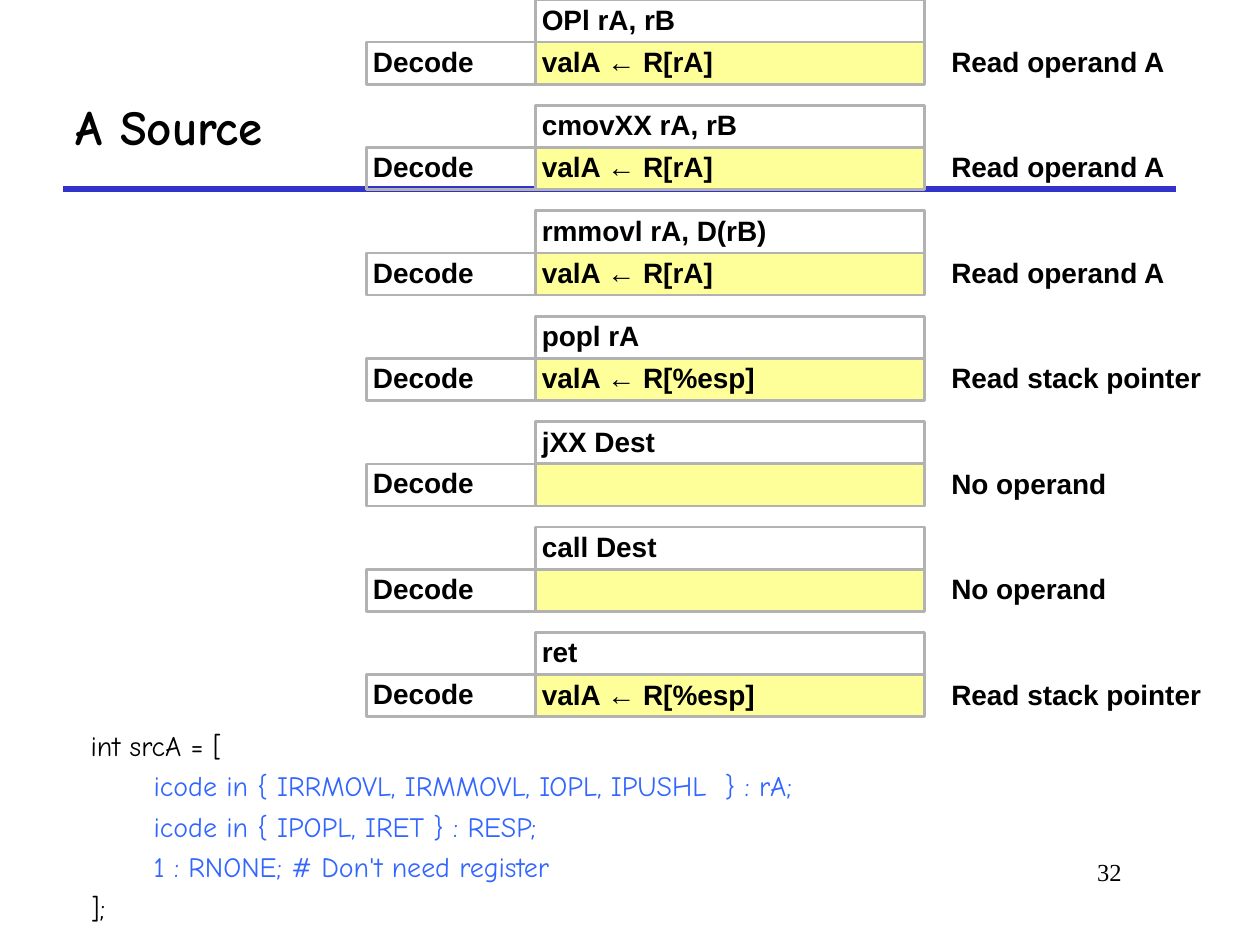
"""Build the slide that shows how source register A is chosen."""
import dataclasses
import typing

import pptx
import pptx.dml.color
import pptx.enum.shapes
import pptx.enum.text
import pptx.oxml
import pptx.oxml.ns
import pptx.util

ANCHOR = pptx.enum.text.MSO_ANCHOR
ALIGN = pptx.enum.text.PP_ALIGN
WIDTH, HEIGHT = 10, 7.5
STAGE_LEFT, ACTION_LEFT, NOTE_LEFT = 2.91, 4.25, 7.5
STAGE_WIDTH = ACTION_LEFT - STAGE_LEFT
ACTION_WIDTH = 3.09
PITCH = 5.02 / 6
ROW = PITCH * 0.4
BLACK, GRAY, YELLOW = "000000", "B2B2B2", "FFFF99"
NAVY, BLUE = "3333CC", "3366FF"


@dataclasses.dataclass(frozen=True)
class Style:
    """Look of a run of text."""
    font: str
    size: float
    bold: bool = False
    color: str = BLACK


@dataclasses.dataclass(frozen=True)
class Area:
    """Position and size in inches."""
    left: float
    top: float
    width: float
    height: float

    def lengths(self) -> list[pptx.util.Length]:
        """Return the four lengths in slide units."""
        return [pptx.util.Inches(value) for value in dataclasses.astuple(self)]


class Instruction(typing.NamedTuple):
    """One instruction, its decode action and the note beside it."""
    name: str
    action: str
    note: str


LABEL = Style("Arial", 16, bold=True)
CODE = Style("Comic Neue", 16)
CODE_CASE = dataclasses.replace(CODE, color=BLUE)
HEADING = Style("Comic Neue", 28, bold=True)
NUMBER = Style("Times New Roman", 14)

INSTRUCTIONS = [
    Instruction("OPl rA, rB", "valA ← R[rA]", "Read operand A"),
    Instruction("cmovXX rA, rB", "valA ← R[rA]", "Read operand A"),
    Instruction("rmmovl rA, D(rB)", "valA ← R[rA]", "Read operand A"),
    Instruction("popl rA", "valA ← R[%esp]", "Read stack pointer"),
    Instruction("jXX Dest", "", "No operand"),
    Instruction("call Dest", "", "No operand"),
    Instruction("ret", "valA ← R[%esp]", "Read stack pointer"),
]
CODE_LINES = [
    ("int srcA = [", CODE),
    ("\ticode in { IRRMOVL, IRMMOVL, IOPL, IPUSHL  } : rA;", CODE_CASE),
    ("\ticode in { IPOPL, IRET } : RESP;", CODE_CASE),
    ("\t1 : RNONE; # Don't need register", CODE_CASE),
    ("];", CODE),
]


def rgb(color: str) -> pptx.dml.color.RGBColor:
    """Turn a hex string into a colour."""
    return pptx.dml.color.RGBColor.from_string(color)


def add_run(para, text: str, style: Style) -> None:
    """Append a styled run to a paragraph."""
    span = para.add_run()
    span.text = text
    span.font.name = style.font
    span.font.size = pptx.util.Pt(style.size)
    span.font.bold = style.bold
    span.font.color.rgb = rgb(style.color)


def set_frame(frame, anchor: ANCHOR = ANCHOR.TOP, side: float = 0.05) -> None:
    """Set wrapping, anchor and insets of a text frame."""
    frame.word_wrap = True
    frame.vertical_anchor = anchor
    frame.margin_left = frame.margin_right = pptx.util.Inches(side)
    frame.margin_top = frame.margin_bottom = pptx.util.Inches(0.05)


def write_label(box, text: str, anchor: ANCHOR = ANCHOR.TOP) -> None:
    """Write one bold table label into a box."""
    set_frame(box.text_frame, anchor)
    para = box.text_frame.paragraphs[0]
    para.alignment = ALIGN.LEFT
    para.line_spacing = 0.9
    para.space_before = pptx.util.Pt(10)
    if text:
        add_run(para, text, LABEL)


def add_cell(page, area: Area, text: str, fill: str | None = None,
             anchor: ANCHOR = ANCHOR.TOP) -> None:
    """Draw an outlined cell with a label."""
    box = page.shapes.add_shape(
        pptx.enum.shapes.MSO_SHAPE.RECTANGLE, *area.lengths())
    box.shadow.inherit = False
    box.line.color.rgb = rgb(GRAY)
    box.line.width = pptx.util.Pt(1.5)
    if fill:
        box.fill.solid()
        box.fill.fore_color.rgb = rgb(fill)
    else:
        box.fill.background()
    write_label(box, text, anchor)


def add_instruction(page, index: int, item: Instruction) -> None:
    """Draw the two rows of one instruction."""
    top = index * PITCH
    decode = top + ROW
    add_cell(page, Area(ACTION_LEFT, top, ACTION_WIDTH, ROW), item.name)
    add_cell(page, Area(ACTION_LEFT, decode, ACTION_WIDTH, ROW),
             item.action, YELLOW)
    add_cell(page, Area(STAGE_LEFT, decode, STAGE_WIDTH, ROW),
             "Decode", anchor=ANCHOR.MIDDLE)
    note = Area(NOTE_LEFT, decode, ACTION_WIDTH, ROW)
    write_label(page.shapes.add_textbox(*note.lengths()), item.note)


def add_title(page) -> None:
    """Fill the title placeholder and draw the rule below it."""
    area = Area(WIDTH * 0.05, HEIGHT / 15, 8.83, 1)
    title = page.shapes.title
    title.left, title.top, title.width, title.height = area.lengths()
    set_frame(title.text_frame, ANCHOR.MIDDLE, 0.1)
    title.text_frame.auto_size = pptx.enum.text.MSO_AUTO_SIZE.NONE
    para = title.text_frame.paragraphs[0]
    para.alignment = ALIGN.LEFT
    add_run(para, "A Source", HEADING)

    left, top, width, height = area.lengths()
    rule = page.shapes.add_connector(
        pptx.enum.shapes.MSO_CONNECTOR.STRAIGHT,
        left, top + height, left + width, top + height)
    rule.line.color.rgb = rgb(NAVY)
    rule.line.width = pptx.util.Pt(3)
    properties = rule._element.spPr
    properties.append(pptx.oxml.parse_xml(
        f"<a:effectLst {pptx.oxml.ns.nsdecls('a')}/>"))


def add_code(page) -> None:
    """Write the selection code below the instructions."""
    area = Area(0.67, 5.73, 8.76, 1.66)
    frame = page.shapes.add_textbox(*area.lengths()).text_frame
    set_frame(frame)
    frame.auto_size = pptx.enum.text.MSO_AUTO_SIZE.SHAPE_TO_FIT_TEXT
    for index, (text, style) in enumerate(CODE_LINES):
        para = frame.add_paragraph() if index else frame.paragraphs[0]
        para.space_before = pptx.util.Pt(4)
        add_run(para, text, style)


def add_page_number(page) -> None:
    """Write the page number at the lower right."""
    area = Area(7.58, HEIGHT * 0.9, 1.42, HEIGHT / 15)
    frame = page.shapes.add_textbox(*area.lengths()).text_frame
    set_frame(frame, side=0.1)
    frame.paragraphs[0].alignment = ALIGN.RIGHT
    add_run(frame.paragraphs[0], "32", NUMBER)


def main() -> None:
    """Build and save the deck."""
    deck = pptx.Presentation()
    deck.slide_width = pptx.util.Inches(WIDTH)
    deck.slide_height = pptx.util.Inches(HEIGHT)
    page = deck.slides.add_slide(deck.slide_layouts.get_by_name("Title Only"))
    add_title(page)
    add_code(page)
    for index, item in enumerate(INSTRUCTIONS):
        add_instruction(page, index, item)
    add_page_number(page)
    deck.save("out.pptx")


if __name__ == "__main__":
    main()
